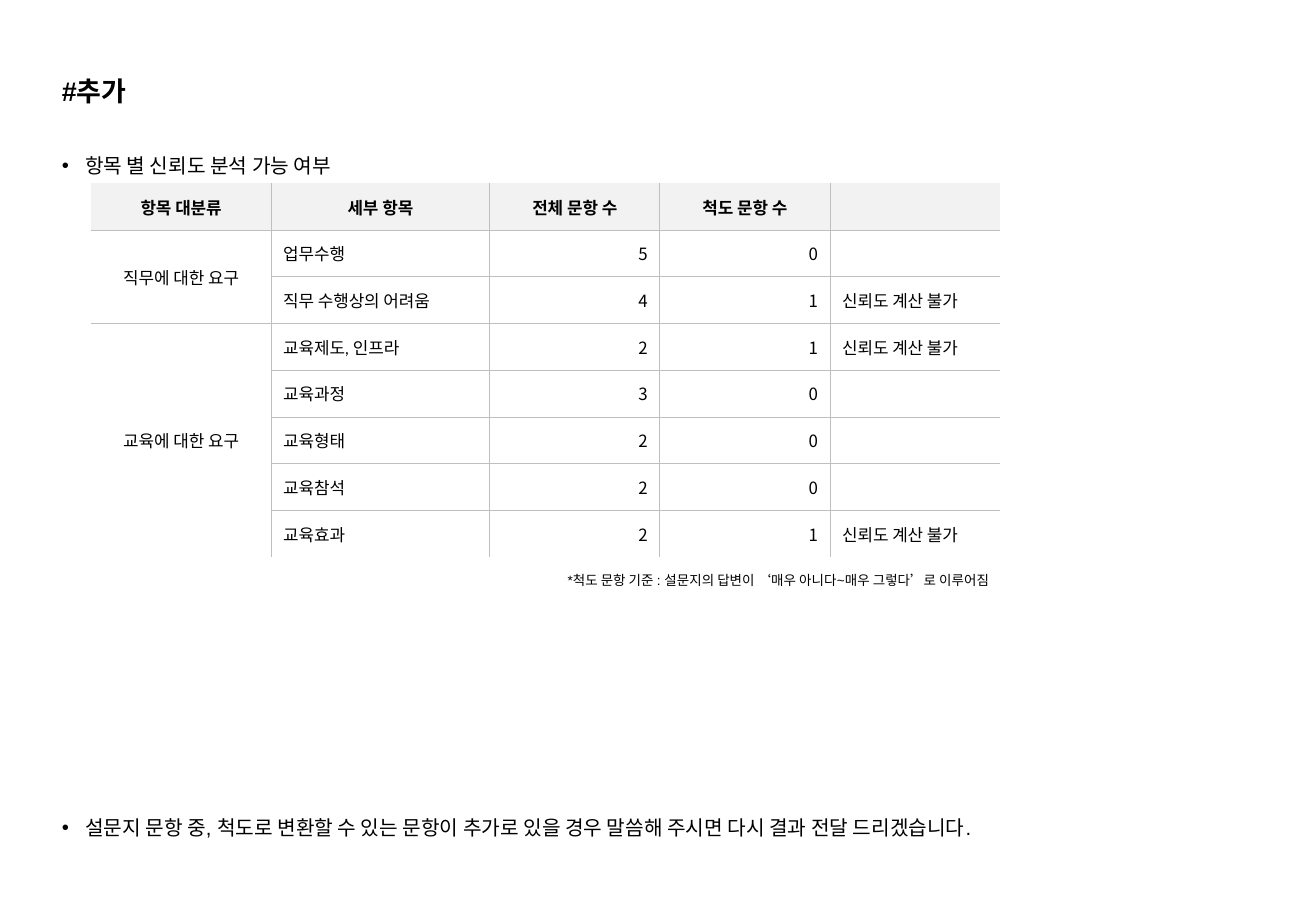
from lxml.etree import SubElement
from pptx import Presentation
from pptx.dml.color import RGBColor
from pptx.enum.text import MSO_ANCHOR, MSO_AUTO_SIZE, PP_ALIGN
from pptx.oxml.ns import qn
from pptx.util import Inches, Pt

BLACK, GRAY, PALE = "000000", "BFBFBF", "F2F2F2"
HEAD = ["항목 대분류", "세부 항목", "전체 문항 수", "척도 문항 수", ""]
NONE = "신뢰도 계산 불가"
GROUPS = {
    "직무에 대한 요구": [
        ["업무수행", "5", "0", ""],
        ["직무 수행상의 어려움", "4", "1", NONE],
    ],
    "교육에 대한 요구": [
        ["교육제도, 인프라", "2", "1", NONE],
        ["교육과정", "3", "0", ""],
        ["교육형태", "2", "0", ""],
        ["교육참석", "2", "0", ""],
        ["교육효과", "2", "1", NONE],
    ],
}
WIDTHS = [1.48, 1.8, 1.4, 1.4, 1.4]
ROW = 0.385


def color(code):
    """Turn a hex string into a colour."""
    return RGBColor.from_string(code)


def style(para, size, font="Arial", bold=False, align=PP_ALIGN.LEFT):
    """Set the font and alignment of a paragraph."""
    para.alignment = align
    face = para.font
    face.name, face.size, face.bold = font, Pt(size), bold
    face.color.rgb = color(BLACK)


def put(shape, text, box, size, wrap=False, **look):
    """Place a shape and fill it with one line of text."""
    shape.left, shape.top, shape.width, shape.height = map(Inches, box)
    frame = shape.text_frame
    frame.text = text
    frame.word_wrap = wrap
    frame.auto_size = MSO_AUTO_SIZE.NONE
    frame.vertical_anchor = MSO_ANCHOR.TOP
    para = frame.paragraphs[0]
    para.line_spacing = 1.5
    para.space_before = Pt(0)
    style(para, size, **look)
    return para


def bullet(shape, text, box):
    """Fill a body placeholder with one bulleted line."""
    props = put(shape, text, box, 12)._p.get_or_add_pPr()
    props.set("marL", str(Inches(0.19)))
    props.set("indent", str(-Inches(0.19)))


def border(cell, edges):
    """Draw the named edges of a cell and clear the others."""
    props = cell._tc.get_or_add_tcPr()
    for edge in "LRTB":
        line = SubElement(props, qn(f"a:ln{edge}"), w=str(Pt(0.5)))
        if edge in edges:
            fill = SubElement(line, qn("a:solidFill"))
            SubElement(fill, qn("a:srgbClr"), val=GRAY)
        else:
            SubElement(line, qn("a:noFill"))


def inner(cell, row, col, rows):
    """Name the edges of a cell that lie inside the table."""
    last = row + (cell.span_height if cell.is_merge_origin else 1)
    tests = {
        "L": col > 0,
        "R": col < len(WIDTHS) - 1,
        "T": row > 0 and not cell.is_spanned,
        "B": last < rows and not cell.is_spanned,
    }
    return [edge for edge, shown in tests.items() if shown]


def write(cell, text, row, col):
    """Write and format the text and fill of a cell."""
    cell.text = text
    cell.vertical_anchor = MSO_ANCHOR.MIDDLE
    count = row > 0 and col in (2, 3)
    align = PP_ALIGN.RIGHT if count else PP_ALIGN.LEFT
    if row == 0 or col == 0:
        align = PP_ALIGN.CENTER
    font = "Noto Sans CJK KR" if count else "Calibri"
    style(cell.text_frame.paragraphs[0], 10, font, row == 0, align)
    if row == 0:
        cell.fill.solid()
        cell.fill.fore_color.rgb = color(PALE)
    else:
        cell.fill.background()


def grid(slide):
    """Add the table of survey items."""
    data, spans = [HEAD], []
    for name, items in GROUPS.items():
        spans.append((len(data), len(data) + len(items) - 1))
        for spot, item in enumerate(items):
            data.append(["" if spot else name, *item])
    rows = len(data)
    frame = slide.shapes.add_table(
        rows, len(WIDTHS), Inches(0.75), Inches(1.51),
        Inches(sum(WIDTHS)), Inches(ROW * rows))
    table = frame.table
    table.first_row = table.horz_banding = False
    for col, width in zip(table.columns, WIDTHS):
        col.width = Inches(width)
    for first, last in spans:
        table.cell(first, 0).merge(table.cell(last, 0))
    for row, texts in enumerate(data):
        for col, text in enumerate(texts):
            cell = table.cell(row, col)
            border(cell, inner(cell, row, col, rows))
            write(cell, text, row, col)


def main():
    """Build and save the slide."""
    deck = Presentation()
    deck.slide_width, deck.slide_height = Inches(10.83), Inches(7.5)
    slide = deck.slides.add_slide(deck.slide_layouts[3])
    title, top, end = slide.placeholders
    put(title, "#추가", (0.41, 0.43, 0.79, 0.5), 16, bold=True)
    bullet(top, "항목 별 신뢰도 분석 가능 여부", (0.41, 1.11, 2.71, 0.4))
    grid(slide)
    bullet(end, "설문지 문항 중, 척도로 변환할 수 있는 문항이 추가로 있을 경우 "
           "말씀해 주시면 다시 결과 전달 드리겠습니다.", (0.41, 6.56, 8.6, 0.4))
    note = slide.shapes.add_textbox(0, 0, 0, 0)
    put(note, "*척도 문항 기준 : 설문지의 답변이 ‘매우 아니다~매우 그렇다’로 이루어짐",
        (3.49, 4.59, 4.75, 0.3), 8, wrap=True, align=PP_ALIGN.RIGHT)
    deck.save("out.pptx")


main()
